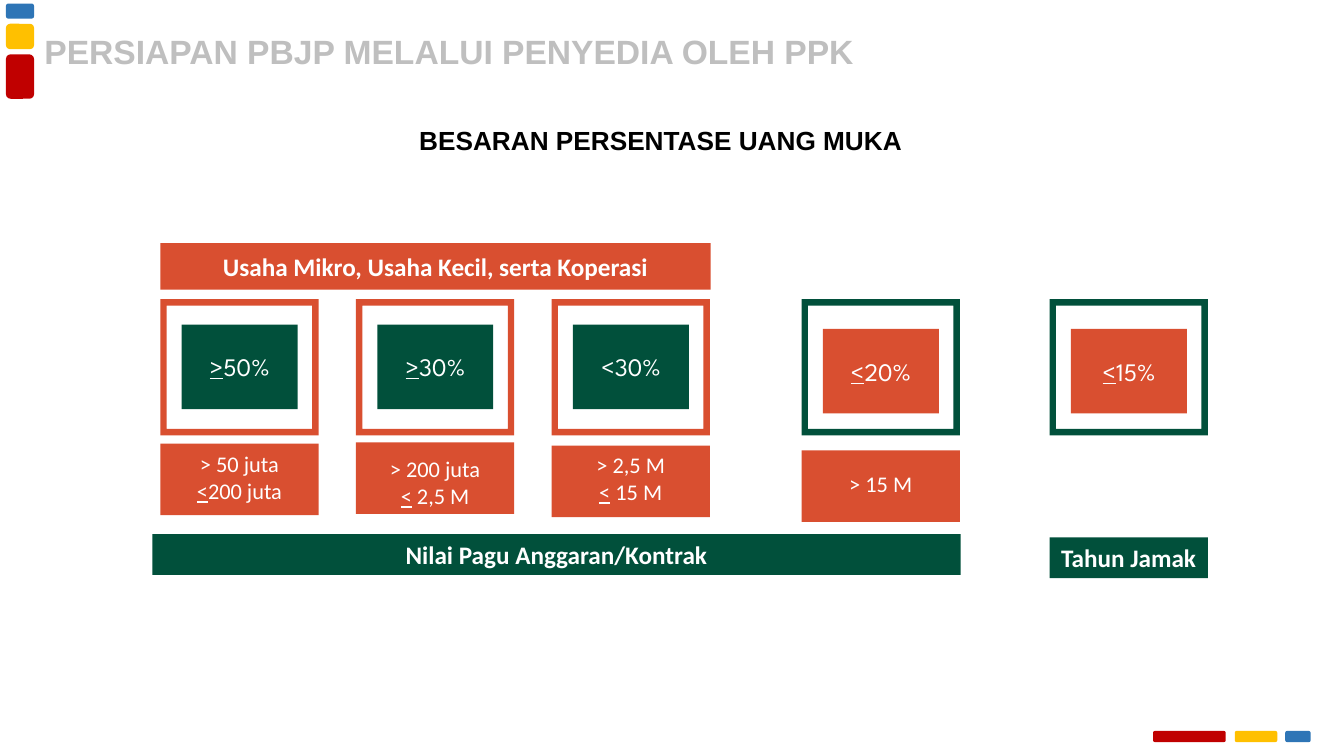
"""Build the slide on advance payment percentages."""
import pptx
import pptx.dml.color
import pptx.enum.shapes
import pptx.enum.text
import pptx.util

Cm = pptx.util.Cm
SHAPES = pptx.enum.shapes.MSO_SHAPE
ALIGN = pptx.enum.text.PP_ALIGN
ANCHOR = pptx.enum.text.MSO_ANCHOR

ORANGE, GREEN, WHITE = "D94F30", "01503B", "FFFFFF"
RED, YELLOW, BLUE = "C00000", "FFC000", "2E75B6"
CARD_WIDTH, CARD_TOP, CARD_HEIGHT = 3.99, 7.54, 3.43
FIRST_CARD, CARD_PITCH = 4.04, 4.93
ABOVE_15M, MULTI_YEAR = 20.2, 26.45


def color(value):
    """Return the colour for a hex string."""
    return pptx.dml.color.RGBColor.from_string(value)


def add_block(slide, box, fill, kind=SHAPES.RECTANGLE):
    """Add a filled shape without outline and return it."""
    shape = slide.shapes.add_shape(kind, *map(Cm, box))
    shape.shadow.inherit = False
    shape.fill.solid()
    shape.fill.fore_color.rgb = color(fill)
    shape.line.fill.background()
    return shape


def write(shape, lines, size, font="Calibri", ink=WHITE, bold=False,
          align=ALIGN.CENTER, anchor=ANCHOR.TOP):
    """Write lines of (text, underlined) runs into a shape."""
    frame = shape.text_frame
    frame.word_wrap = True
    frame.vertical_anchor = anchor
    for index, runs in enumerate(lines):
        paragraph = frame.add_paragraph() if index else frame.paragraphs[0]
        paragraph.alignment = align
        for text, underlined in runs:
            run = paragraph.add_run()
            run.text = text
            run.font.size = pptx.util.Pt(size)
            run.font.name = font
            run.font.bold = bold
            run.font.underline = underlined
            run.font.color.rgb = color(ink)


def add_label(slide, box, lines, size, **style):
    """Add a text box with the given lines and return it."""
    label = slide.shapes.add_textbox(*map(Cm, box))
    write(label, lines, size, **style)
    return label


def add_banner(slide, box, text):
    """Add a block with a bold heading."""
    banner = add_block(slide, box, ORANGE if box[1] < CARD_TOP else GREEN)
    write(banner, [[(text, False)]], 18, bold=True, anchor=ANCHOR.MIDDLE)


def add_card(slide, left, runs, border, fill, inner_top):
    """Add a framed percentage."""
    frame = add_block(slide, (left, CARD_TOP, CARD_WIDTH, CARD_HEIGHT),
                      border, SHAPES.FRAME)
    frame.adjustments[0] = 0.047
    add_block(slide, (left + 0.54, inner_top, 2.92, 2.13), fill)
    add_label(slide, (left + 0.67, inner_top + 0.56, 2.67, 1.02), [runs], 18,
              font="League Spartan")


def add_range(slide, left, top, text_top, lines):
    """Add a block with the contract value range of a card."""
    add_block(slide, (left, top, CARD_WIDTH, 1.8), ORANGE)
    add_label(slide, (left, text_top, CARD_WIDTH, 0.26 + 0.68 * len(lines)),
              lines, 16)


def add_accents(slide):
    """Add the coloured bars in two corners."""
    for top, height, fill in ((1.37, 1.12, RED), (0.6, 0.64, YELLOW),
                              (0.09, 0.38, BLUE)):
        add_block(slide, (0.15, top, 0.71, height), fill,
                  SHAPES.ROUNDED_RECTANGLE)
    for left, width, fill in ((29.06, 1.83, RED), (31.12, 1.07, YELLOW),
                              (32.39, 0.64, BLUE)):
        add_block(slide, (left, 18.42, width, 0.28), fill,
                  SHAPES.ROUNDED_RECTANGLE)


def add_titles(slide):
    """Add the slide title and the subject heading."""
    title = add_label(slide, (1.12, 0.48, 26.82, 1.63),
                      [[("PERSIAPAN PBJP MELALUI PENYEDIA OLEH PPK", False)]],
                      24, font="Arial", ink="BFBFBF", bold=True,
                      align=ALIGN.LEFT, anchor=ANCHOR.MIDDLE)
    frame = title.text_frame
    frame.margin_left = frame.margin_right = Cm(0)
    frame.margin_top = frame.margin_bottom = Cm(0)
    add_label(slide, (8.18, 3.02, 16.94, 1.07),
              [[("BESARAN PERSENTASE UANG MUKA", False)]], 18.7,
              font="Arial", ink="000000", bold=True)


def main():
    """Build and save the presentation."""
    presentation = pptx.Presentation()
    presentation.slide_width, presentation.slide_height = Cm(33.87), Cm(19.05)
    slide = presentation.slides.add_slide(presentation.slide_layouts[6])
    add_titles(slide)
    add_banner(slide, (FIRST_CARD, 6.13, 13.87, 1.17),
               "Usaha Mikro, Usaha Kecil, serta Koperasi")

    small_business = (
        ([(">", True), ("50%", False)], 11.18, 11.23, "> 50 juta", "200 juta"),
        ([(">", True), ("30%", False)], 11.15, 11.35, "> 200 juta", " 2,5 M"),
        ([("<30%", False)], 11.23, 11.25, "> 2,5 M", " 15 M"),
    )
    for index, (percent, top, text_top, lower, upper) in enumerate(small_business):
        left = FIRST_CARD + index * CARD_PITCH
        add_card(slide, left, percent, ORANGE, GREEN, 8.18)
        add_range(slide, left, top, text_top,
                  [[(lower, False)], [("<", True), (upper, False)]])

    for left, percent in ((ABOVE_15M, "20%"), (MULTI_YEAR, "15%")):
        add_card(slide, left, [("<", True), (percent, False)],
                 GREEN, ORANGE, 8.29)
    add_range(slide, ABOVE_15M, 11.35, 11.73, [[("> 15 M", False)]])

    add_banner(slide, (3.84, 13.46, 20.37, 1.03), "Nilai Pagu Anggaran/Kontrak")
    add_banner(slide, (MULTI_YEAR, 13.54, CARD_WIDTH, 1.03), "Tahun Jamak")
    add_accents(slide)
    presentation.save("out.pptx")


if __name__ == "__main__":
    main()
